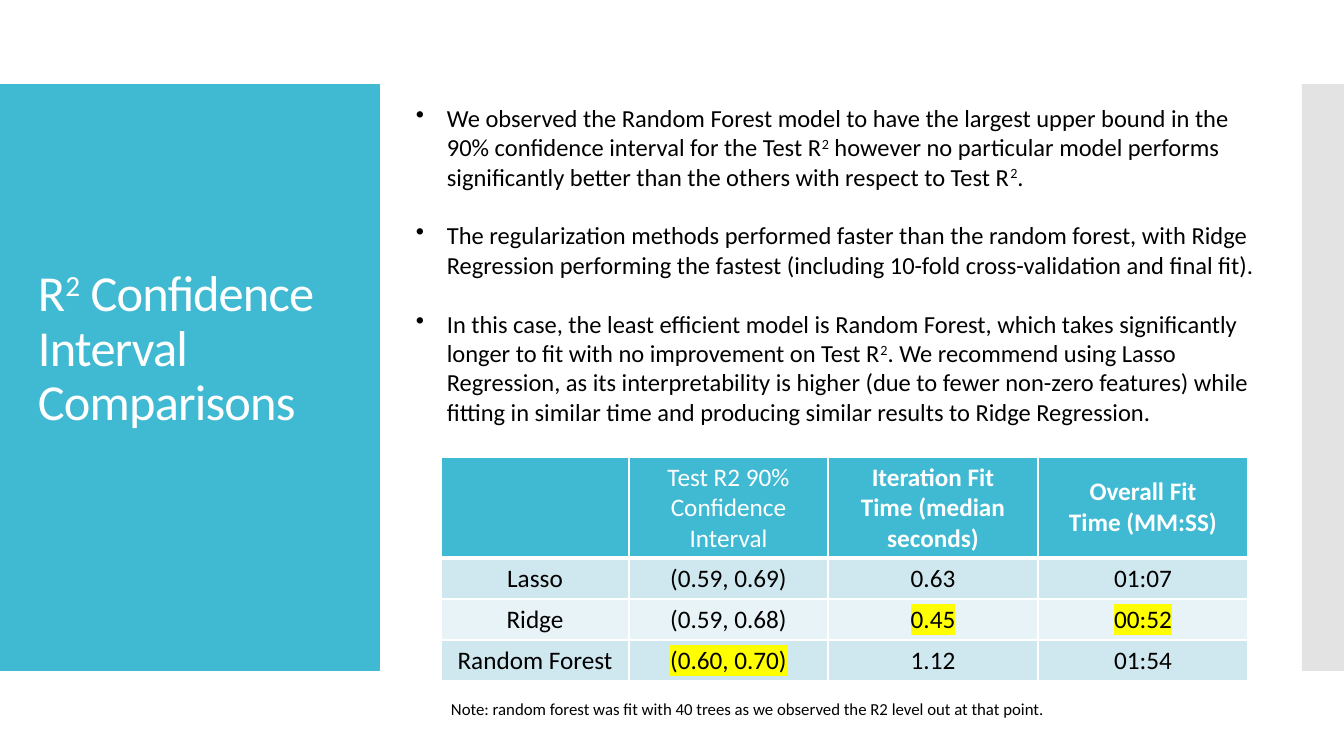
from dataclasses import dataclass

from lxml.etree import SubElement
from pptx import Presentation
from pptx.dml.color import RGBColor
from pptx.enum.shapes import MSO_SHAPE
from pptx.enum.text import MSO_ANCHOR, PP_ALIGN
from pptx.oxml import parse_xml
from pptx.oxml.ns import nsdecls, qn
from pptx.util import Emu, Pt

EMU_PER_PIXEL = 914400 / 100.8


@dataclass(frozen=True)
class Theme:
    """Colours, font and type sizes of the deck."""
    font: str = "Calibri"
    accent: str = "40BAD2"
    edge: str = "C8C8C8"
    band_dark: str = "CFE7EE"
    band_light: str = "E8F3F7"
    white: str = "FFFFFF"
    black: str = "000000"
    marker: str = "FFFF00"
    title_size: float = 36
    body_size: float = 17.5
    table_size: float = 18
    note_size: float = 12


THEME = Theme()

TITLE = "R² Confidence Interval Comparisons"
FINDINGS = [
    "We observed the Random Forest model to have the largest upper bound in the 90% "
    "confidence interval for the Test R² however no particular model performs "
    "significantly better than the others with respect to Test R².",
    "The regularization methods performed faster than the random forest, with Ridge "
    "Regression performing the fastest (including 10-fold cross-validation and final fit).",
    "In this case, the least efficient model is Random Forest, which takes significantly "
    "longer to fit with no improvement on Test R². We recommend using Lasso Regression, "
    "as its interpretability is higher (due to fewer non-zero features) while fitting in "
    "similar time and producing similar results to Ridge Regression.",
]
RESULTS = [
    ["", "Test R2 90% Confidence Interval", "Iteration Fit Time\u00a0(median seconds)",
     "Overall Fit Time\u00a0(MM:SS)"],
    ["Lasso", "(0.59, 0.69)", "0.63", "01:07"],
    ["Ridge", "(0.59, 0.68)", "0.45", "00:52"],
    ["Random Forest", "(0.60, 0.70)", "1.12", "01:54"],
]
BEST_VALUES = {"(0.60, 0.70)", "0.45", "00:52"}
NOTE = "Note: random forest was fit with 40 trees as we observed the R2 level out at that point."


def px(pixels):
    """Turn pixels into EMU."""
    return Emu(round(pixels * EMU_PER_PIXEL))


def style(para, size, color, bold=False):
    """Set the font of a whole paragraph."""
    para.font.name = THEME.font
    para.font.size = Pt(size)
    para.font.bold = bold
    para.font.color.rgb = RGBColor.from_string(color)


def write(para, text):
    """Add text as runs, with each ² as a superscript 2."""
    for index, piece in enumerate(text.split("²")):
        if index:
            span = para.add_run()
            span.text = "2"
            span.font._element.set("baseline", "30000")
        if piece:
            para.add_run().text = piece


def add_text(page, box, texts, size, color):
    """Add a wrapping text box with one paragraph per text."""
    frame = page.shapes.add_textbox(*map(px, box)).text_frame
    frame.word_wrap = True
    for index, text in enumerate(texts):
        para = frame.add_paragraph() if index else frame.paragraphs[0]
        style(para, size, color)
        write(para, text)
    return frame


def add_panel(page, box, color, alpha=100):
    """Add a plain rectangle of the given opacity in percent."""
    panel = page.shapes.add_shape(MSO_SHAPE.RECTANGLE, *map(px, box))
    panel.shadow.inherit = False
    panel.line.fill.background()
    panel.fill.solid()
    panel.fill.fore_color.rgb = RGBColor.from_string(color)
    if alpha < 100:
        tint = panel._element.spPr.find(f".//{qn('a:srgbClr')}")
        SubElement(tint, qn("a:alpha")).set("val", str(alpha * 1000))


def add_title(page, box):
    """Add the title on its coloured panel."""
    left, top, width, height = box
    add_panel(page, box, THEME.accent)
    frame = add_text(page, (left + 28, top + 40, width - 55, height - 80), [TITLE],
                     THEME.title_size, THEME.white)
    frame.vertical_anchor = MSO_ANCHOR.MIDDLE
    frame.margin_bottom = px(60)
    para = frame.paragraphs[0]
    para.line_spacing = 0.9
    for span in para.runs:
        span.font._element.set("spc", "-60")


def add_findings(page, box):
    """Add the bulleted findings, one blank line's height apart."""
    frame = add_text(page, box, FINDINGS, THEME.body_size, THEME.black)
    for para in frame.paragraphs:
        para.space_after = Pt(21)
        properties = para._p.get_or_add_pPr()
        properties.set("marL", str(px(31)))
        properties.set("indent", str(-px(31)))
        bullet = parse_xml(f'<a:buChar {nsdecls("a")} char="•"/>')
        properties.find(qn("a:defRPr")).addprevious(bullet)
    para.space_after = Pt(0)


def add_borders(cell, top, bottom):
    """Draw white cell borders; top and bottom are widths in points."""
    properties = cell._tc.get_or_add_tcPr()
    widths = {"lnL": 1, "lnR": 1, "lnT": top, "lnB": bottom}
    for index, (side, width) in enumerate(widths.items()):
        properties.insert(index, parse_xml(
            f'<a:{side} {nsdecls("a")} w="{Pt(width)}"><a:solidFill>'
            f'<a:srgbClr val="{THEME.white}"/></a:solidFill></a:{side}>'))


def highlight(span):
    """Put a marker colour behind a run."""
    span.font.color.rgb = RGBColor.from_string(THEME.black)
    fill = span.font._element.find(qn("a:solidFill"))
    fill.addnext(parse_xml(f'<a:highlight {nsdecls("a")}>'
                           f'<a:srgbClr val="{THEME.marker}"/></a:highlight>'))


def fill_cell(cell, text, row, column):
    """Write and colour one cell by its place in the table."""
    header = row == 0
    fill = THEME.accent if header else THEME.band_dark if row % 2 else THEME.band_light
    cell.fill.solid()
    cell.fill.fore_color.rgb = RGBColor.from_string(fill)
    cell.vertical_anchor = MSO_ANCHOR.MIDDLE
    add_borders(cell, 3 if row == 1 else 1, 3 if header else 1)
    para = cell.text_frame.paragraphs[0]
    para.alignment = PP_ALIGN.CENTER
    style(para, THEME.table_size, THEME.white if header else THEME.black,
          bold=header and column > 1)
    write(para, text)
    if text in BEST_VALUES:
        highlight(para.runs[0])


def add_results(page, box):
    """Add the table of results."""
    table = page.shapes.add_table(len(RESULTS), len(RESULTS[0]), *map(px, box)).table
    for column, width in zip(table.columns, (188, 199, 210, 210)):
        column.width = px(width)
    for row, height in zip(table.rows, (101, 41, 41, 41)):
        row.height = px(height)
    for row, texts in enumerate(RESULTS):
        for column, text in enumerate(texts):
            fill_cell(table.cell(row, column), text, row, column)


def build_page(deck):
    """Build the comparison slide."""
    page = deck.slides.add_slide(deck.slide_layouts[6])
    add_title(page, (0, 84, 380, 587))
    add_panel(page, (1302, 84, 42, 587), THEME.edge, alpha=50)
    add_results(page, (441, 457, 807, 224))
    add_findings(page, (406, 98, 876, 337))
    add_text(page, (441, 694, 829, 30), [NOTE], THEME.note_size, THEME.black)


deck = Presentation()
deck.slide_width, deck.slide_height = px(1344), px(756)
build_page(deck)
deck.save("out.pptx")
